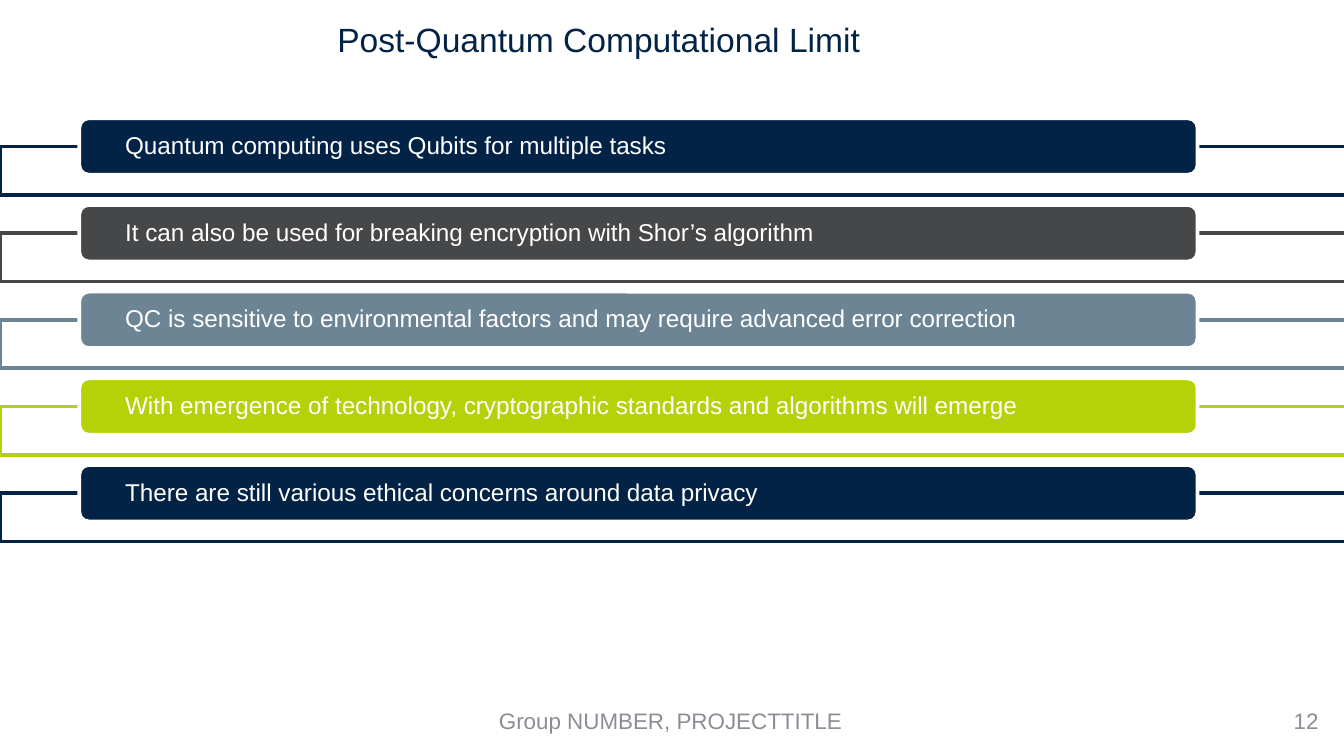
from pptx import Presentation
from pptx.dml.color import RGBColor as RGB
from pptx.enum.shapes import MSO_SHAPE as Shape
from pptx.enum.text import MSO_ANCHOR as Anchor, MSO_AUTO_SIZE as Fit, PP_ALIGN as Align
from pptx.oxml.ns import qn
from pptx.util import Inches, Pt
from lxml.etree import SubElement

# Content
TITLE = "Post-Quantum Computational Limit"
POINTS = [
    ("Quantum computing uses Qubits for multiple tasks", "navy"),
    ("It can also be used for breaking encryption with Shor’s algorithm", "gray"),
    ("QC is sensitive to environmental factors and may require advanced error correction", "steel"),
    ("With emergence of technology, cryptographic standards and algorithms will emerge", "lime"),
    ("There are still various ethical concerns around data privacy", "navy"),
]
FOOTER = [
    ("Group NUMBER, PROJECTTITLE", (1.82, 5.21, 6.34, 0.3), Align.CENTER),
    ("12", (7.58, 5.21, 2.33, 0.3), Align.RIGHT),
]

# Theme
THEME = {
    "font": "Arial",
    "navy": RGB.from_string("022345"),
    "gray": RGB.from_string("464749"),
    "steel": RGB.from_string("6D8495"),
    "lime": RGB.from_string("B5D107"),
    "white": RGB.from_string("FFFFFF"),
    "muted": RGB.from_string("8C8D94"),
    "title": Pt(18), "point": Pt(13), "foot": Pt(12),
    "line": Pt(2),
}

# Layout, in inches
WIDE = 10
HIGH = WIDE * 9 / 16
TOP, LAST = 0.88, 3.46
STEP = (LAST - TOP) / (len(POINTS) - 1)
BAR_X, BAR_W, BAR_H = 0.59, 8.32, 0.42
BOX_W, BOX_H = 11.88, 0.36
INSET = 0.32


def write(shape, text, size, color, align=Align.LEFT, **frame):
    body = shape.text_frame
    body.text = text
    form = {"word_wrap": True, "auto_size": Fit.NONE, "vertical_anchor": Anchor.MIDDLE, **frame}
    for name, value in form.items():
        setattr(body, name, value)
    para = body.paragraphs[0]
    para.alignment = align
    font = para.runs[0].font
    for name, value in {"name": THEME["font"], "size": THEME[size]}.items():
        setattr(font, name, value)
    font.color.rgb = THEME[color]
    return para


def block(slide, kind, place, fill, line):
    shape = slide.shapes.add_shape(kind, *map(Inches, place))
    shape.shadow.inherit = False
    shape.fill.solid()
    shape.fill.fore_color.rgb = THEME[fill]
    shape.line.color.rgb = THEME[line]
    shape.line.width = THEME["line"]
    return shape


def fade(shape, percent):
    tint = shape.element.spPr.find(qn("a:solidFill"))[0]
    SubElement(tint, qn("a:alpha"), val=str(percent * 1000))


deck = Presentation()
deck.slide_width, deck.slide_height = Inches(WIDE), Inches(HIGH)
slide = deck.slides.add_slide(deck.slide_layouts[5])

# Title
head = slide.shapes.title
head.left, head.top, head.width, head.height = map(Inches, (2.41, 0.09, 5, 0.4))
write(head, TITLE, "title", "navy", vertical_anchor=Anchor.TOP)

# Footer and page number
for text, place, align in FOOTER:
    note = slide.shapes.add_textbox(*map(Inches, place))
    write(note, text, "foot", "muted", align)

# Each point: an outlined frame whose top edge runs through the bar's middle
for row, (text, color) in enumerate(POINTS):
    top = TOP + row * STEP
    frame = block(slide, Shape.RECTANGLE, (0, top + BAR_H / 2, BOX_W, BOX_H), "white", color)
    fade(frame, 90)
    bar = block(slide, Shape.ROUNDED_RECTANGLE, (BAR_X, top, BAR_W, BAR_H), color, "white")
    para = write(bar, text, "point", "white",
                 margin_left=Inches(INSET), margin_right=Inches(INSET),
                 margin_top=0, margin_bottom=0)
    para.line_spacing = 0.9

deck.save("out.pptx")
